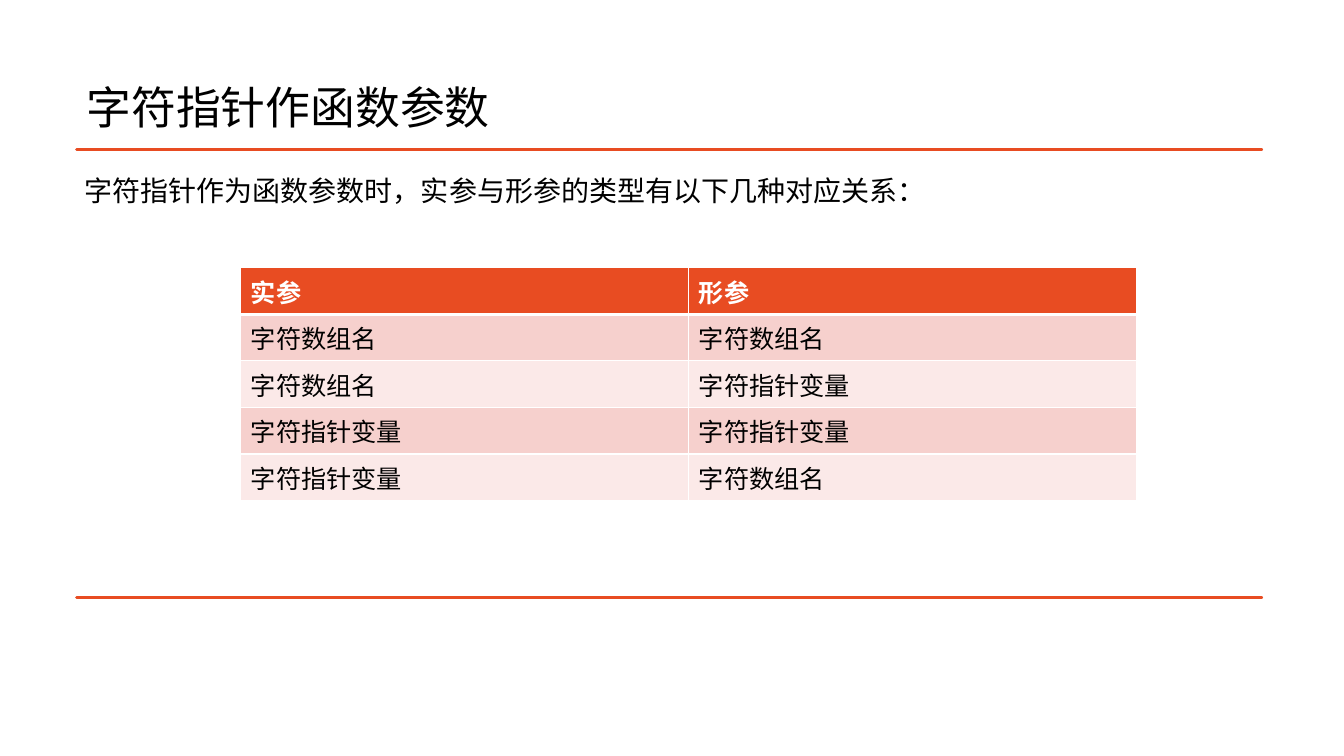
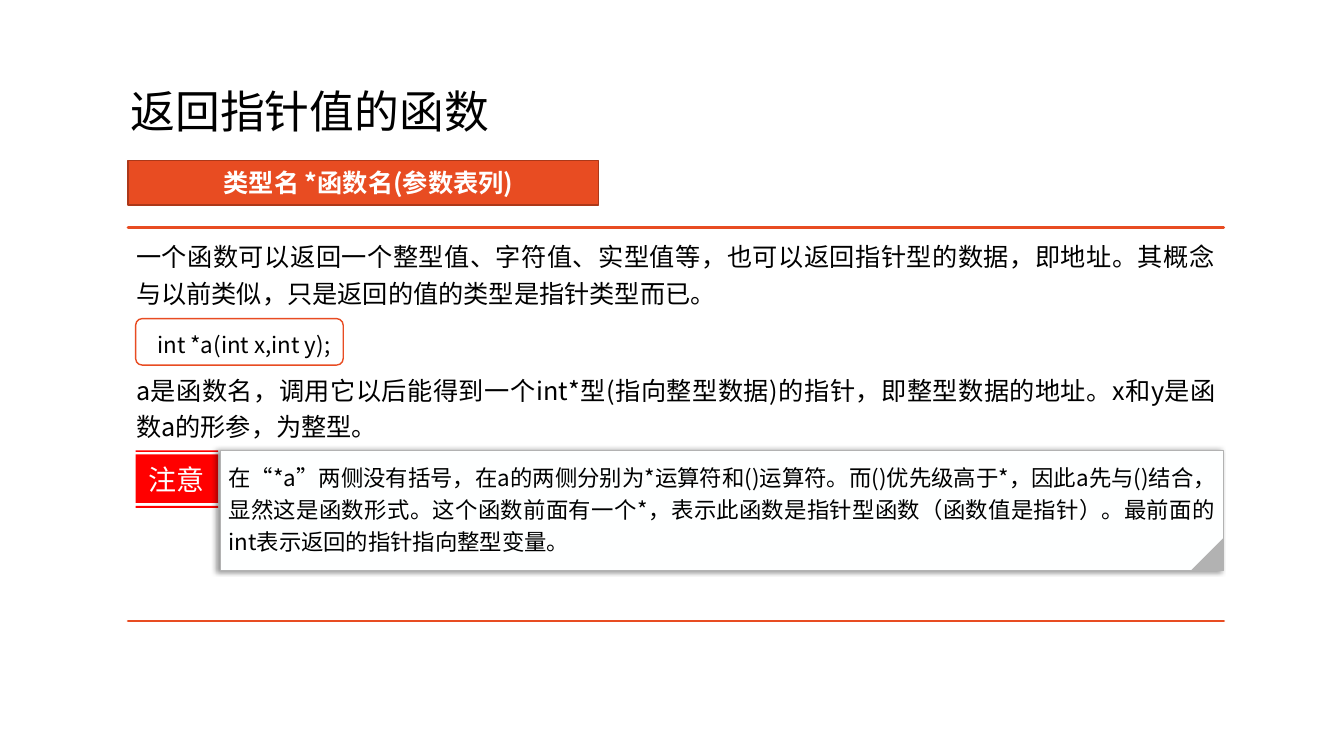
import dataclasses

import lxml.etree
import pptx
import pptx.dml.color
import pptx.enum.shapes
import pptx.enum.text
import pptx.oxml.ns
import pptx.util

Cm = pptx.util.Cm
Pt = pptx.util.Pt
qn = pptx.oxml.ns.qn
SHAPE = pptx.enum.shapes.MSO_SHAPE
ALIGN = pptx.enum.text.PP_ALIGN
ANCHOR = pptx.enum.text.MSO_ANCHOR


@dataclasses.dataclass(frozen=True)
class Theme:
    """Colours, font, type sizes and line spacing of the deck."""
    font: str = "Noto Sans CJK SC"
    ink: str = "000000"
    white: str = "FFFFFF"
    paper: str = "FEFFFF"
    accent: str = "E84C22"
    edge: str = "AC3819"
    alert: str = "FF0000"
    gray: str = "B2B2B2"
    bands: tuple = ("F6D0CD", "FBE9E8")
    title: int = 32
    lead: int = 20
    body: int = 18
    small: int = 16
    pitch: float = 1.2


THEME = Theme()


def tint(code):
    """Turn a hex code into a colour."""
    return pptx.dml.color.RGBColor.from_string(code)


def place(box):
    """Turn a box in centimetres into lengths."""
    return [Cm(side) for side in box]


def style(line, size, color=THEME.ink, bold=False, align=None, pitch=None):
    """Set the font, alignment and line spacing of one paragraph."""
    font = line.font
    font.name, font.size, font.bold = THEME.font, Pt(size), bold
    font.color.rgb = tint(color)
    props = line._p.pPr.find(qn("a:defRPr"))
    lxml.etree.SubElement(props, qn("a:ea"), typeface=THEME.font)
    if align is not None:
        line.alignment = align
    if pitch is not None:
        line.line_spacing = pitch


def write(shape, texts, size, inset=(0.25, 0.13, 0.25, 0.13),
          anchor=ANCHOR.TOP, **look):
    """Fill a shape with paragraphs and return them."""
    frame = shape.text_frame
    frame.word_wrap = True
    frame.vertical_anchor = anchor
    (frame.margin_left, frame.margin_top,
     frame.margin_right, frame.margin_bottom) = place(inset)
    frame.text = "\n".join(texts)
    for line in frame.paragraphs:
        style(line, size, **look)
    return frame.paragraphs


def prose(shape, texts, size, pitch=THEME.pitch):
    """Fill a shape with justified paragraphs and return them."""
    lines = write(shape, texts, size, (0.2,) * 4,
                  align=ALIGN.JUSTIFY, pitch=pitch)
    for line in lines:
        line.space_after = Pt(6)
    return lines


def paint(shape, fill, edge=None, width=1):
    """Give a shape a flat fill or none, and an optional outline."""
    shape.shadow.inherit = False
    if fill:
        shape.fill.solid()
        shape.fill.fore_color.rgb = tint(fill)
    else:
        shape.fill.background()
    if edge:
        shape.line.color.rgb = tint(edge)
        shape.line.width = Pt(width)
    else:
        shape.line.fill.background()
    return shape


def trace(shapes, loops):
    """Draw closed loops of points as one shape."""
    first, *rest = [[tuple(place(dot)) for dot in loop] for loop in loops]
    pen = shapes.build_freeform(*first[0])
    pen.add_line_segments(first[1:])
    for loop in rest:
        pen.move_to(*loop[0])
        pen.add_line_segments(loop[1:])
    return pen.convert_to_shape()


def title(slide, box, text):
    """Write the slide title, centred in the height of its box."""
    shape = slide.shapes.add_textbox(*place(box))
    write(shape, [text], THEME.title, anchor=ANCHOR.MIDDLE, pitch=0.9)


def body(slide, box, texts, size, pitch=THEME.pitch):
    """Write justified text in a frame of a top and a bottom rule."""
    left, top, width, height = box
    frame = trace(slide.shapes, [
        ((left, level), (left + width, level))
        for level in (top + height, top)])
    paint(frame, None, THEME.accent, 2)
    return prose(frame, texts, size, pitch)


def border(cell, **widths):
    """Draw white cell borders; sides are L, R, T and B."""
    props = cell._tc.get_or_add_tcPr()
    for side, width in widths.items():
        edge = lxml.etree.SubElement(props, qn("a:ln" + side), w=str(Pt(width)))
        fill = lxml.etree.SubElement(edge, qn("a:solidFill"))
        lxml.etree.SubElement(fill, qn("a:srgbClr"), val=THEME.white)


def grid(slide, box, rows):
    """Draw a table with a header row and banded rows."""
    table = slide.shapes.add_table(len(rows), len(rows[0]), *place(box)).table
    table.first_row = table.horz_banding = False
    for r, row in enumerate(rows):
        head = r == 0
        for c, text in enumerate(row):
            cell = table.cell(r, c)
            border(cell, L=1, R=1, T=3 if r == 1 else 1, B=3 if head else 1)
            cell.fill.solid()
            cell.fill.fore_color.rgb = tint(
                THEME.accent if head else THEME.bands[(r - 1) % 2])
            cell.text = text
            style(cell.text_frame.paragraphs[0], THEME.body,
                  THEME.white if head else THEME.ink, head)


def banner(slide, box, text):
    """Draw the filled bar that holds the syntax."""
    shape = slide.shapes.add_shape(SHAPE.RECTANGLE, *place(box))
    paint(shape, THEME.accent, THEME.edge)
    write(shape, [text], THEME.body, (0.5, 0.13, 0.25, 0.13), ANCHOR.MIDDLE,
          color=THEME.white, bold=True, align=ALIGN.CENTER)


def code(slide, box, text):
    """Draw the rounded box that holds a line of code."""
    shape = slide.shapes.add_shape(SHAPE.ROUNDED_RECTANGLE, *place(box))
    shape.adjustments[0] = 0.14
    paint(shape, THEME.white, THEME.accent)
    write(shape, [text], THEME.small, (0.5, 0.13, 0.25, 0.13),
          align=ALIGN.LEFT, pitch=THEME.pitch)


def shade(shape):
    """Cast a soft shadow to the left."""
    effects = shape._element.spPr.find(qn("a:effectLst"))
    cast = lxml.etree.SubElement(
        effects, qn("a:outerShdw"), blurRad=str(Pt(4)), dist=str(Pt(3)),
        dir="10800000", algn="r", rotWithShape="0")
    color = lxml.etree.SubElement(cast, qn("a:srgbClr"), val=THEME.ink)
    lxml.etree.SubElement(color, qn("a:alpha"), val="40000")


def badge(shapes, box, text):
    """Draw a label block between two thin bars."""
    left, top, width, height = box
    right = left + width
    bars = ((0, 0.04), (0.1, height - 0.13), (height - 0.05, height))
    shape = trace(shapes, [
        ((left, top + high), (right, top + high),
         (right, top + low), (left, top + low)) for high, low in bars])
    paint(shape, THEME.alert)
    write(shape, [text], THEME.lead, anchor=ANCHOR.MIDDLE,
          color=THEME.paper, align=ALIGN.CENTER)


def notice(slide, box, label, text):
    """Draw a label beside a note with a folded corner."""
    left, top, width, height = box
    tag, gap, fold = 2.08, 0.06, 0.82
    shapes = slide.shapes.add_group_shape().shapes
    badge(shapes, (left, top, tag, 1.45), label)
    start = left + tag + gap
    note = shapes.add_shape(
        SHAPE.RECTANGLE, *place((start, top, width - tag - gap, height)))
    paint(note, THEME.paper, THEME.gray, 0.75)
    shade(note)
    prose(note, [text], THEME.small)
    corner = shapes.add_shape(SHAPE.RIGHT_TRIANGLE, *place(
        (left + width - fold, top + height - fold, fold, fold)))
    corner.rotation = 270
    paint(corner, THEME.gray)


def params(slide):
    """Build the slide on pointers as parameters."""
    title(slide, (1.93, 1.45, 29.21, 2.64), "字符指针作函数参数")
    line, = body(slide, (1.93, 3.76, 29.87, 11.3),
                 ["字符指针作为函数参数时，实参与形参的类型有以下几种对应关系："],
                 THEME.lead, 1.5)
    line.space_before = Pt(6)
    array, pointer = "字符数组名", "字符指针变量"
    grid(slide, (6.07, 6.75, 22.58, 5.86),
         [("实参", "形参"), (array, array), (array, pointer),
          (pointer, pointer), (pointer, array)])


def returns(slide):
    """Build the slide on functions that return pointers."""
    title(slide, (3.04, 1.04, 20.09, 3.68), "返回指针值的函数")
    banner(slide, (3.23, 4.05, 11.86, 1.12), "类型名 *函数名(参数表列)")
    lines = body(slide, (3.23, 5.74, 27.61, 9.91), [
        "一个函数可以返回一个整型值、字符值、实型值等，也可以返回指针型的数据，"
        "即地址。其概念与以前类似，只是返回的值的类型是指针类型而已。",
        "a是函数名，调用它以后能得到一个int*型(指向整型数据)的指针，"
        "即整型数据的地址。x和y是函数a的形参，为整型。"], THEME.body)
    lines[1].space_before = Pt(37.5)
    code(slide, (3.42, 8.03, 5.23, 1.17), "int *a(int x,int y);")
    notice(slide, (3.42, 11.35, 27.42, 3.02), "注意",
           "在“*a”两侧没有括号，在a的两侧分别为*运算符和()运算符。"
           "而()优先级高于*，因此a先与()结合，显然这是函数形式。"
           "这个函数前面有一个*，表示此函数是指针型函数（函数值是指针）。"
           "最前面的int表示返回的指针指向整型变量。")


def main():
    """Build and save the deck."""
    deck = pptx.Presentation()
    deck.slide_width, deck.slide_height = Cm(33.87), Cm(19.05)
    for build in (params, returns):
        build(deck.slides.add_slide(deck.slide_layouts[6]))
    deck.save("out.pptx")


main()
